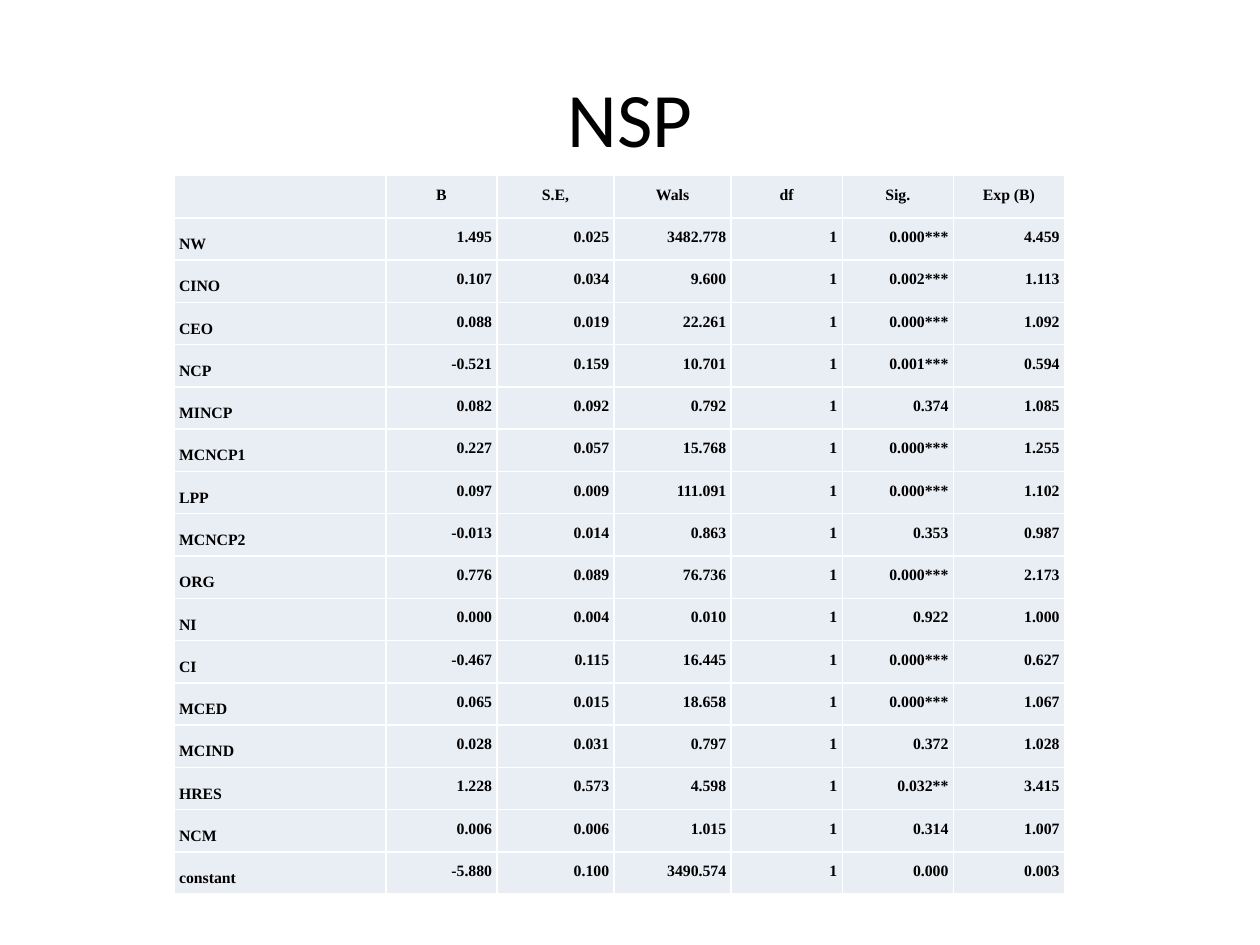
from lxml.etree import SubElement as Sub
from pptx import Presentation
from pptx.dml.color import RGBColor as Rgb
from pptx.enum.text import MSO_ANCHOR as Anchor, PP_ALIGN as Align
from pptx.oxml.ns import qn
from pptx.util import Cm, Pt

HUES = {"ink": "000000", "cell": "E9EDF4", "rule": "FFFFFF"}
WIDTHS = [4.27, 2.24, 2.36, 2.36, 2.24, 2.24, 2.24]
HEADS = ["", "B", "S.E,", "Wals", "df", "Sig.", "Exp (B)"]
DATA = """
NW 1.495 0.025 3482.778 1 0.000*** 4.459
CINO 0.107 0.034 9.600 1 0.002*** 1.113
CEO 0.088 0.019 22.261 1 0.000*** 1.092
NCP -0.521 0.159 10.701 1 0.001*** 0.594
MINCP 0.082 0.092 0.792 1 0.374 1.085
MCNCP1 0.227 0.057 15.768 1 0.000*** 1.255
LPP 0.097 0.009 111.091 1 0.000*** 1.102
MCNCP2 -0.013 0.014 0.863 1 0.353 0.987
ORG 0.776 0.089 76.736 1 0.000*** 2.173
NI 0.000 0.004 0.010 1 0.922 1.000
CI -0.467 0.115 16.445 1 0.000*** 0.627
MCED 0.065 0.015 18.658 1 0.000*** 1.067
MCIND 0.028 0.031 0.797 1 0.372 1.028
HRES 1.228 0.573 4.598 1 0.032** 3.415
NCM 0.006 0.006 1.015 1 0.314 1.007
constant -5.880 0.100 3490.574 1 0.000 0.003
"""
ROWS = [HEADS] + [line.split() for line in DATA.strip().splitlines()]


def set_font(para, name, size, bold):
    font = para.font
    font.name, font.size, font.bold = name, Pt(size), bold
    font.color.rgb = Rgb.from_string(HUES["ink"])


def add_rules(cell):
    props = cell._tc.get_or_add_tcPr()
    for side in ("lnL", "lnR", "lnT", "lnB"):
        line = Sub(props, qn("a:" + side), w=str(Pt(1)))
        fill = Sub(line, qn("a:solidFill"))
        Sub(fill, qn("a:srgbClr"), val=HUES["rule"])


def fill_cell(cell, text, align, anchor):
    cell.margin_left = cell.margin_right = 0
    cell.margin_top = cell.margin_bottom = 0
    cell.vertical_anchor = anchor
    add_rules(cell)
    cell.fill.solid()
    cell.fill.fore_color.rgb = Rgb.from_string(HUES["cell"])
    cell.text = text
    para = cell.text_frame.paragraphs[0]
    para.alignment = align
    para.line_spacing = Pt(16)
    props = para._p.get_or_add_pPr()
    for side in ("marL", "marR"):
        props.set(side, str(Cm(0.1)))
    set_font(para, "Times New Roman", 9, True)


def put_title(slide, text, left, top, width, height):
    title = slide.shapes.title
    title.left, title.top = Cm(left), Cm(top)
    title.width, title.height = Cm(width), Cm(height)
    title.text_frame.text = text
    title.text_frame.vertical_anchor = Anchor.MIDDLE
    para = title.text_frame.paragraphs[0]
    para.alignment = Align.CENTER
    set_font(para, "Calibri", 44, False)


def put_table(slide, left, top, height):
    box = Cm(left), Cm(top), Cm(sum(WIDTHS)), Cm(height)
    table = slide.shapes.add_table(len(ROWS), len(HEADS), *box).table
    for col, width in zip(table.columns, WIDTHS):
        col.width = Cm(width)
    for r, row in enumerate(ROWS):
        table.rows[r].height = Cm(height / len(ROWS))
        for c, text in enumerate(row):
            label = r > 0 and c == 0
            align = Align.CENTER if r == 0 else Align.LEFT if label else Align.RIGHT
            anchor = Anchor.MIDDLE if label else Anchor.TOP
            fill_cell(table.cell(r, c), text, align, anchor)


deck = Presentation()
deck.slide_width, deck.slide_height = Cm(25.4), Cm(19.05)
slide = deck.slides.add_slide(deck.slide_layouts[5])
put_title(slide, "NSP", 1.27, 0.76, 22.86, 3.18)
put_table(slide, 3.51, 3.54, 14.5)
deck.save("out.pptx")
